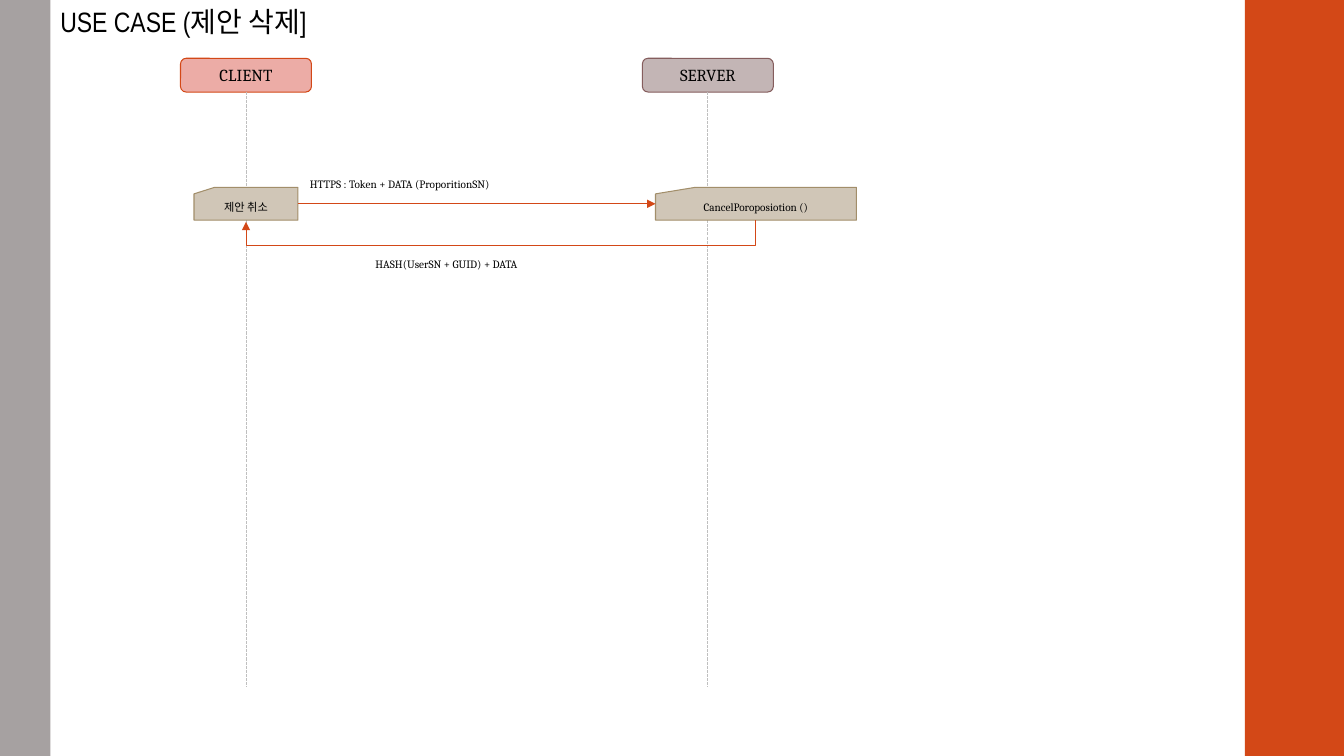
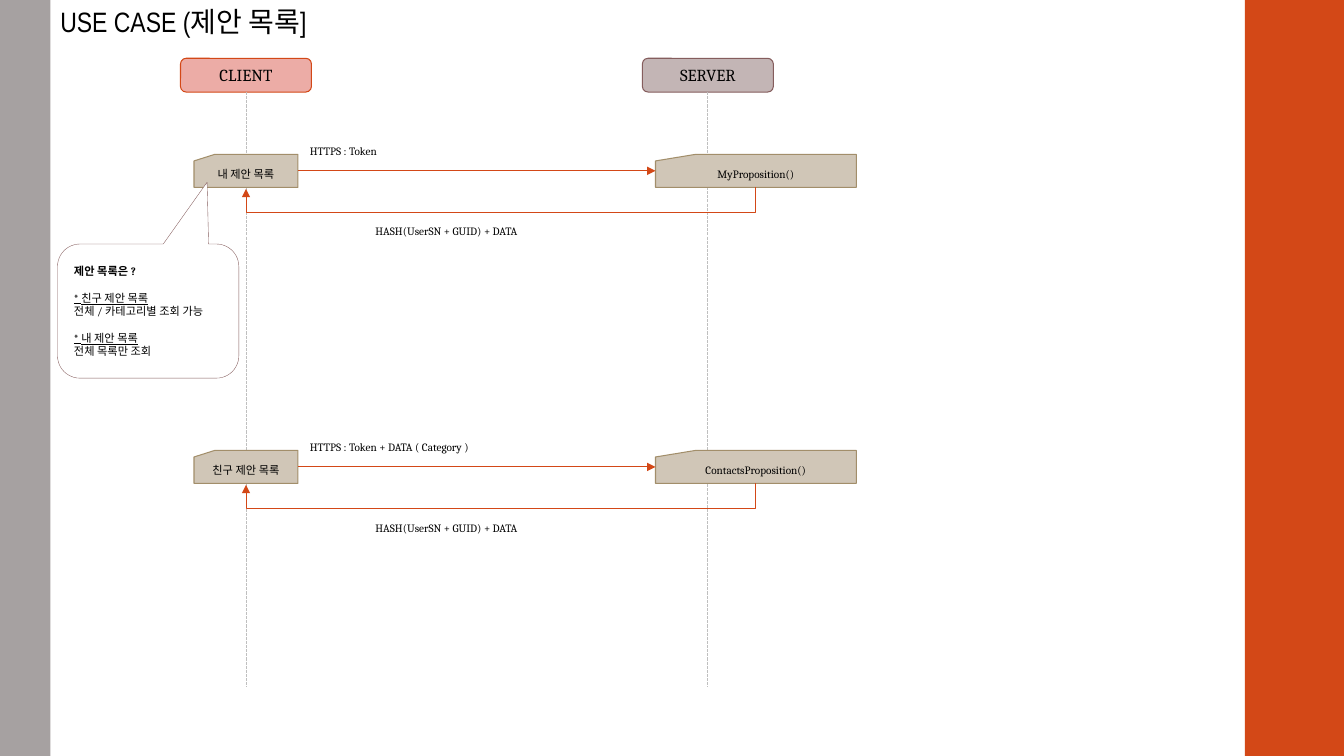
from dataclasses import dataclass

from lxml.etree import SubElement as Sub
from pptx import Presentation
from pptx.dml.color import RGBColor as Rgb
from pptx.enum.dml import MSO_LINE as Dash
from pptx.enum.shapes import MSO_CONNECTOR as Link, MSO_SHAPE as Form
from pptx.enum.text import MSO_ANCHOR as Anchor, PP_ALIGN as Align
from pptx.oxml.ns import qn
from pptx.util import Cm, Pt


@dataclass(frozen=True)
class Theme:
    ink: str = "000000"
    paper: str = "FFFFFF"
    accent: str = "D34817"
    band: str = "A6A1A1"
    client: str = "ECACA6"
    server: str = "C3B5B5"
    plum: str = "855D5D"
    card: str = "D0C6B7"
    edge: str = "A28E6A"
    guide: str = "BFBFBF"
    body: str = "Cambria"
    head: str = "Arial Narrow"
    big: float = 20
    mid: float = 12
    small: float = 8
    thin: float = 0.75
    hair: float = 0.25


LOOK = Theme()
WIDE, HIGH = 33.87, 19.05
BAND = 1.27                        # width of the left band
SIDE = 31.37                       # left edge of the right band
CLIENT, SERVER = 6.2, 17.84        # lifeline centres
HEAD_TOP, HEAD_W, HEAD_H = 1.47, 3.3, 0.85
LIFE_END = 17.32
SEND_W, SERVE_W, CARD_H = 2.62, 5.06, 0.83
SERVE_X = 16.52
DROP, STEP = 0.63, 0.04            # depth of the return line, offset of its ends
REPLY = "HASH(UserSN + GUID) + DATA"


def write(shape, lines, font=LOOK.body, size=LOOK.small, color=LOOK.ink,
          align=Align.LEFT, anchor=Anchor.TOP):
    """Fill a shape with lines, each a string or a (string, options) pair."""
    frame = shape.text_frame
    frame.word_wrap = True
    frame.vertical_anchor = anchor
    for i, line in enumerate([lines] if isinstance(lines, str) else lines):
        text, opts = (line, {}) if isinstance(line, str) else line
        para = frame.paragraphs[0] if i == 0 else frame.add_paragraph()
        para.alignment = align
        para.space_before = Pt(opts.get("gap", 0))
        run = para.add_run()
        run.text = text
        run.font.name, run.font.size = font, Pt(size)
        run.font.color.rgb = Rgb.from_string(color)
        run.font.bold = opts.get("bold", False)
        run.font.underline = opts.get("under", False)


def label(slide, text, x, y, w, h, **fmt):
    write(slide.shapes.add_textbox(Cm(x), Cm(y), Cm(w), Cm(h)), text, **fmt)


def block(slide, form, x, y, w, h, fill, edge=None, weight=LOOK.thin):
    shape = slide.shapes.add_shape(form, Cm(x), Cm(y), Cm(w), Cm(h))
    shape.shadow.inherit = False
    shape.fill.solid()
    shape.fill.fore_color.rgb = Rgb.from_string(fill)
    if edge:
        shape.line.color.rgb = Rgb.from_string(edge)
        shape.line.width = Pt(weight)
    else:
        shape.line.fill.background()
    return shape


def join(slide, kind, x1, y1, x2, y2, color=LOOK.accent, dash=None, arrow=True):
    link = slide.shapes.add_connector(kind, Cm(x1), Cm(y1), Cm(x2), Cm(y2))
    link.line.color.rgb = Rgb.from_string(color)
    link.line.width = Pt(LOOK.thin)
    if dash:
        link.line.dash_style = dash
    props = link.element.spPr
    if arrow:
        Sub(props.find(qn("a:ln")), qn("a:tailEnd"), type="triangle")
    Sub(props, qn("a:effectLst"))
    return link


def loop(slide, x1, x2, y):
    """Draw a return arrow that drops below y, runs left and rises again."""
    mid, half = (x1 + x2) / 2, (x1 - x2) / 2
    y += STEP / 2
    link = join(slide, Link.ELBOW, mid - STEP / 2, y - half, mid + STEP / 2, y + half)
    props = link.element.spPr
    props.xfrm.set("rot", str(90 * 60000))
    guides = props.find(qn("a:prstGeom")).find(qn("a:avLst"))
    Sub(guides, qn("a:gd"), name="adj1", fmla=f"val {round(DROP / STEP * 100000)}")


def actor(slide, name, mid, fill, edge):
    box = block(slide, Form.ROUNDED_RECTANGLE, mid - HEAD_W / 2, HEAD_TOP,
                HEAD_W, HEAD_H, fill, edge)
    write(box, name, size=LOOK.mid, align=Align.CENTER, anchor=Anchor.MIDDLE)
    join(slide, Link.STRAIGHT, mid, HEAD_TOP + HEAD_H, mid, LIFE_END,
         LOOK.guide, Dash.SQUARE_DOT, False)


def call(slide, y, sender, data, method):
    """Draw one request from client to server, and its reply."""
    left = CLIENT - SEND_W / 2
    for text, x, w in ((sender, left, SEND_W), (method, SERVE_X, SERVE_W)):
        card = block(slide, Form.FLOWCHART_CARD, x, y, w, CARD_H, LOOK.card, LOOK.edge)
        write(card, text, align=Align.CENTER, anchor=Anchor.MIDDLE)
    join(slide, Link.STRAIGHT, left + SEND_W, y + CARD_H / 2, SERVE_X, y + CARD_H / 2)
    loop(slide, SERVE_X + SERVE_W / 2, CLIENT, y + CARD_H)
    for text, x, dy in ((data, 7.56, -0.38), (REPLY, 9.21, 1.65)):
        label(slide, text, x, y + dy, 7.14, 0.6)


def note(slide, lines):
    box = block(slide, Form.ROUNDED_RECTANGULAR_CALLOUT, 1.45, 6.15, 4.57, 3.38,
                LOOK.paper, LOOK.plum, LOOK.hair)
    for i, value in enumerate((0.325, -0.961, 0.167)):
        box.adjustments[i] = value
    write(box, lines, anchor=Anchor.MIDDLE)


def bands(slide):
    """Put the side bands on the master, so that every slide shows them."""
    tree = slide.slide_layout.slide_master.shapes.element
    for x, w, fill in ((SIDE, WIDE - SIDE, LOOK.accent), (0, BAND, LOOK.band)):
        tree.append(block(slide, Form.RECTANGLE, x, 0, w, HIGH, fill).element)


def scene(deck, title, calls):
    slide = deck.slides.add_slide(deck.slide_layouts[6])
    label(slide, title, BAND, 0, SIDE - BAND, 1.11, font=LOOK.head, size=LOOK.big)
    actor(slide, "CLIENT", CLIENT, LOOK.client, LOOK.accent)
    actor(slide, "SERVER", SERVER, LOOK.server, LOOK.plum)
    for item in calls:
        call(slide, *item)
    return slide


def main():
    deck = Presentation()
    deck.slide_width, deck.slide_height = Cm(WIDE), Cm(HIGH)
    first = scene(deck, "USE CASE (제안 삭제]", [
        (4.72, "제안 취소", "HTTPS : Token + DATA (ProporitionSN)",
         "CancelPoroposiotion ()"),
    ])
    bands(first)
    lists = scene(deck, "USE CASE (제안 목록]", [
        (3.89, "내 제안 목록", "HTTPS : Token", "MyProposition()"),
        (11.35, "친구 제안 목록", "HTTPS : Token + DATA ( Category )",
         "ContactsProposition()"),
    ])
    topic = {"under": True, "gap": 9.5}
    note(lists, [
        ("제안 목록은 ?", {"bold": True}),
        ("* 친구 제안 목록", topic),
        "전체 / 카테고리별 조회 가능",
        ("* 내 제안 목록", topic),
        "전체 목록만 조회",
    ])
    deck.save("out.pptx")


if __name__ == "__main__":
    main()
